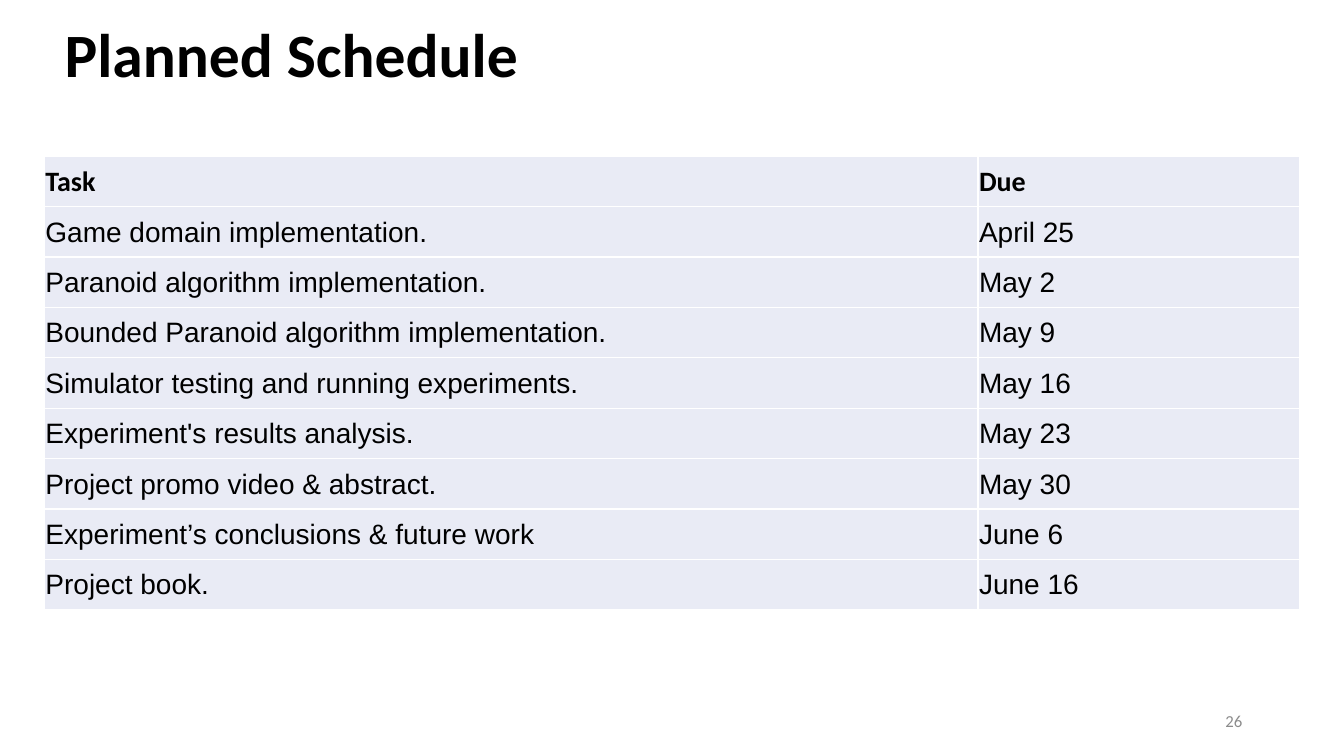
from lxml.etree import SubElement
from pptx import Presentation
from pptx.dml.color import RGBColor
from pptx.enum.text import MSO_ANCHOR, PP_ALIGN
from pptx.oxml.ns import qn
from pptx.util import Inches, Pt


def rgb(value):
    return RGBColor.from_string(value)


class Deck:
    """Holds the style and the current slide, and adds its elements."""
    HEAD, BODY = "Calibri", "Arial"
    INK, GREY, FILL, RULE = "000000", "8C8C8C", "E9EBF5", "FFFFFF"

    def __init__(self, prs):
        self.slide = prs.slides.add_slide(prs.slide_layouts[5])

    def style(self, p, size, font, color, bold=False, align=PP_ALIGN.LEFT):
        p.alignment = align
        p.font.size, p.font.name, p.font.bold = Pt(size), font, bold
        p.font.color.rgb = rgb(color)

    def title(self, text, left, top, width, height):
        sp = self.slide.shapes.title
        sp.left, sp.top = Inches(left), Inches(top)
        sp.width, sp.height = Inches(width), Inches(height)
        tf = sp.text_frame
        tf.text, tf.vertical_anchor = text, MSO_ANCHOR.MIDDLE
        p = tf.paragraphs[0]
        p.line_spacing = 0.9
        self.style(p, 44, self.HEAD, self.INK, bold=True)

    def page_number(self, text, left, top, width, height):
        sp = self.slide.shapes.add_textbox(
            Inches(left), Inches(top), Inches(width), Inches(height))
        tf = sp.text_frame
        tf.word_wrap = True
        tf.text, tf.vertical_anchor = text, MSO_ANCHOR.MIDDLE
        self.style(tf.paragraphs[0], 12, self.HEAD, self.GREY, align=PP_ALIGN.RIGHT)

    def borders(self, cell):
        tc_pr = cell._tc.get_or_add_tcPr()
        for i, side in enumerate(("a:lnL", "a:lnR", "a:lnT", "a:lnB")):
            ln = tc_pr.makeelement(qn(side), {"w": str(Pt(1))})
            fill = SubElement(ln, qn("a:solidFill"))
            SubElement(fill, qn("a:srgbClr"), val=self.RULE)
            tc_pr.insert(i, ln)

    def cell(self, cell, text, header):
        cell.text, cell.vertical_anchor = text, MSO_ANCHOR.MIDDLE
        cell.margin_left = cell.margin_right = cell.margin_top = Inches(0.01)
        cell.margin_bottom = 0
        cell.fill.solid()
        cell.fill.fore_color.rgb = rgb(self.FILL)
        self.borders(cell)
        font = self.HEAD if header else self.BODY
        self.style(cell.text_frame.paragraphs[0], 20, font, self.INK, bold=header)

    def table(self, rows, left, top, widths, row_height):
        table = self.slide.shapes.add_table(
            len(rows), len(widths), Inches(left), Inches(top),
            Inches(sum(widths)), Inches(row_height * len(rows))).table
        for column, width in zip(table.columns, widths):
            column.width = Inches(width)
        for r, row in enumerate(rows):
            table.rows[r].height = Inches(row_height)
            for c, text in enumerate(row):
                self.cell(table.cell(r, c), text, header=r == 0)


SCHEDULE = [
    ("Task", "Due"),
    ("Game domain implementation.", "April 25"),
    ("Paranoid algorithm implementation.", "May 2"),
    ("Bounded Paranoid algorithm implementation.", "May 9"),
    ("Simulator testing and running experiments.", "May 16"),
    ("Experiment's results analysis.", "May 23"),
    ("Project promo video & abstract.", "May 30"),
    ("Experiment’s conclusions & future work", "June 6"),
    ("Project book.", "June 16"),
]

prs = Presentation()
prs.slide_width, prs.slide_height = Inches(13.33), Inches(7.5)
deck = Deck(prs)
deck.title("Planned Schedule", 0.54, -0.22, 11, 1.59)
deck.page_number("26", 9.42, 6.95, 3, 0.4)
deck.table(SCHEDULE, 0.44, 1.55, (9.26, 3.19), 0.5)
prs.save("out.pptx")
